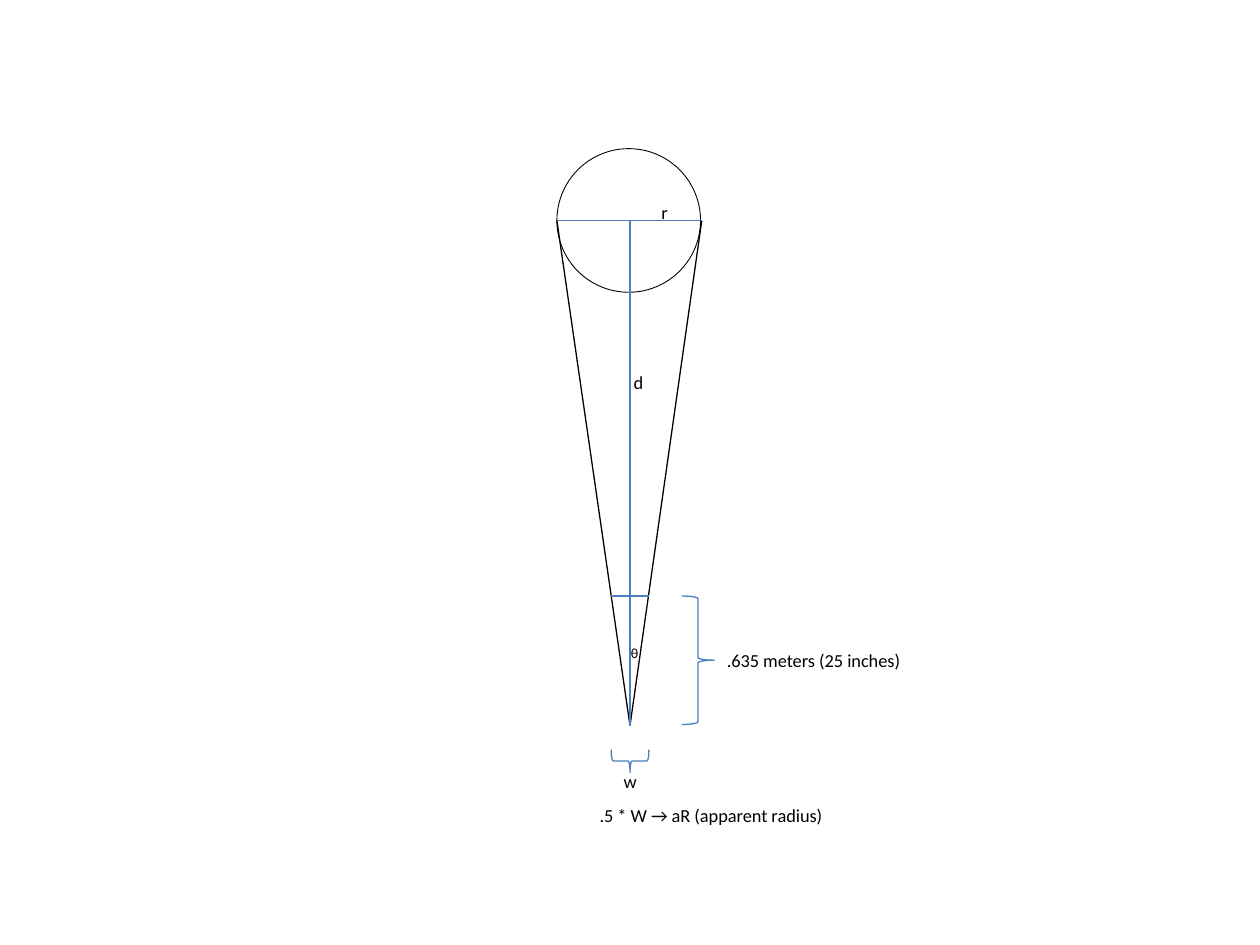
from lxml import etree
from pptx import Presentation
from pptx.dml.color import RGBColor
from pptx.enum import shapes, text
from pptx.oxml.ns import qn
from pptx.util import Inches, Pt

BLACK, BLUE = "000000", "4B7EBC"


def rgb(value):
    return RGBColor.from_string(value)


def add_label(words, left, top, width, height, size=10.5, wrap=False):
    box = slide.shapes.add_textbox(Inches(left), Inches(top), Inches(width), Inches(height))
    frame = box.text_frame
    frame.word_wrap = wrap
    frame.auto_size = text.MSO_AUTO_SIZE.SHAPE_TO_FIT_TEXT
    run = frame.paragraphs[0].add_run()
    run.text = words
    run.font.name = "Calibri"
    run.font.size = Pt(size)
    run.font.color.rgb = rgb(BLACK)


prs = Presentation()
prs.slide_width, prs.slide_height = Inches(10), Inches(7.5)
slide = prs.slides.add_slide(prs.slide_layouts[6])

# Key points of the viewing triangle
left_edge, right_edge, diameter_y = 4.42, 5.57, 1.75
eye_x, eye_y = 5, 5.76
screen_y, half_screen = 4.73, 0.15

# Sphere and the two braces
BRACE = shapes.MSO_SHAPE.RIGHT_BRACE
for kind, left, top, width, height, rotation, color, weight in [
    (shapes.MSO_SHAPE.OVAL, left_edge, 1.18, 1.14, 1.14, 0, BLACK, 0.5),
    (BRACE, 5.41, screen_y, 0.26, 1.02, 0, BLUE, 0.75),
    (BRACE, 4.91, 5.89, 0.18, 0.3, 90, BLUE, 0.75),
]:
    outline = slide.shapes.add_shape(
        kind, Inches(left), Inches(top), Inches(width), Inches(height))
    outline.rotation = rotation
    outline.shadow.inherit = False
    outline.fill.background()
    outline.line.color.rgb = rgb(color)
    outline.line.width = Pt(weight)

# Sight lines, diameter, distance and screen
for x1, y1, x2, y2, color in [
    (left_edge, diameter_y, eye_x, eye_y, BLACK),
    (right_edge, diameter_y, eye_x, eye_y, BLACK),
    (left_edge, diameter_y, right_edge, diameter_y, BLUE),
    (eye_x, diameter_y, eye_x, eye_y, BLUE),
    (eye_x - half_screen, screen_y, eye_x + half_screen, screen_y, BLUE),
]:
    segment = slide.shapes.add_connector(
        shapes.MSO_CONNECTOR.STRAIGHT, Inches(x1), Inches(y1), Inches(x2), Inches(y2))
    segment.line.color.rgb = rgb(color)
    segment.line.width = Pt(0.75)
    etree.SubElement(segment._element.spPr, qn("a:effectLst"))

add_label("r", 5.15, 1.55, 0.26, 0.29)
add_label("d", 4.93, 2.9, 0.28, 0.29)
add_label(".635 meters (25 inches)", 5.67, 5.1, 1.84, 0.29, wrap=True)
add_label("w", 4.85, 6.06, 0.31, 0.29)
add_label(".5 * W → aR (apparent radius)", 4.66, 6.33, 2.01, 0.28)
add_label("θ", 4.91, 5.07, 0.26, 0.24, size=8)

prs.save("out.pptx")
